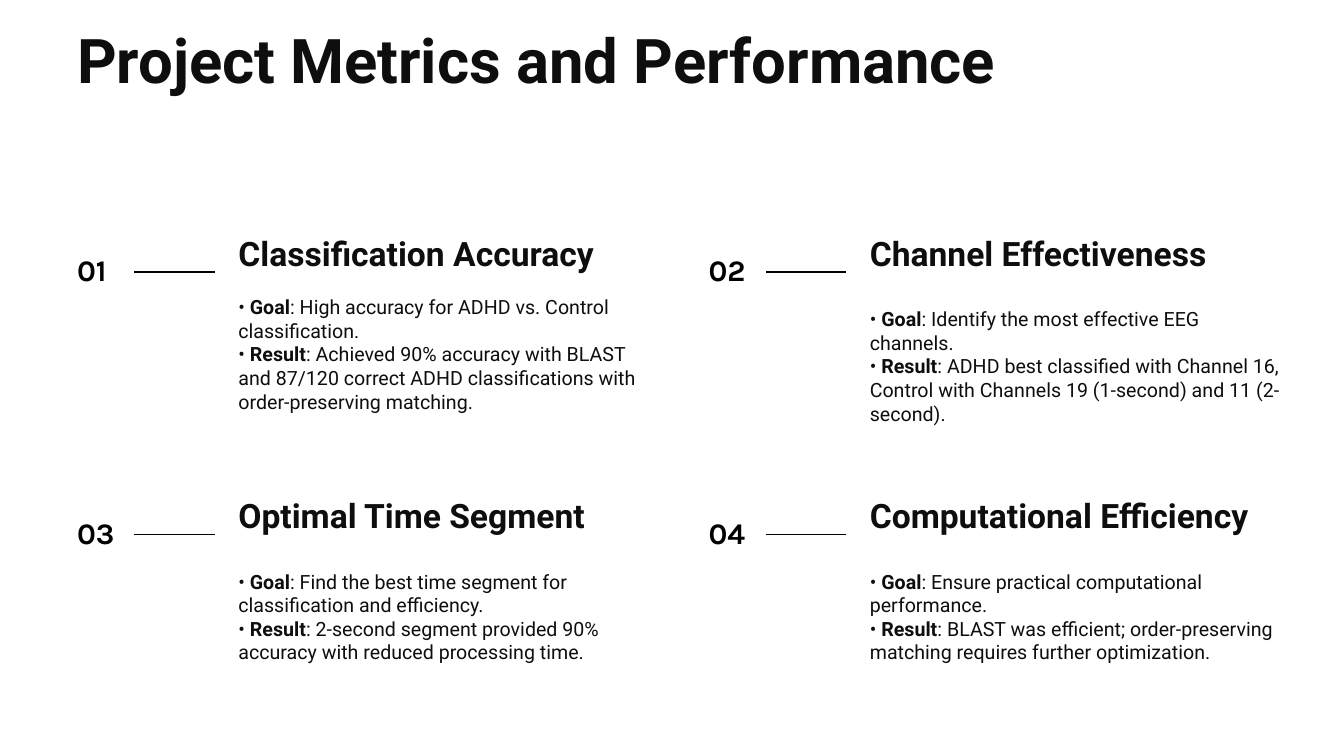
from lxml.etree import SubElement
from pptx import Presentation
from pptx.dml.color import RGBColor
from pptx.enum.shapes import MSO_CONNECTOR as Connector
from pptx.enum.text import MSO_ANCHOR as Anchor
from pptx.oxml.ns import qn
from pptx.util import Pt

INK = RGBColor(0x0E, 0x0E, 0x0E)
BLACK = RGBColor(0, 0, 0)

LEFT = 48
COLUMN_STEP = 451
FIRST_ROW = 178.5
ROW_STEP = 187.2
BOX_HEIGHT = 28.8

METRICS = [
    ("Classification Accuracy", 207.4,
     "High accuracy for ADHD vs. Control classification.",
     "Achieved 90% accuracy with BLAST and 87/120 correct ADHD "
     "classifications with order-preserving matching."),
    ("Channel Effectiveness", 216,
     "Identify the most effective EEG channels.",
     "ADHD best classified with Channel 16, Control with Channels 19 "
     "(1-second) and 11 (2-second)."),
    ("Optimal Time Segment", 403.2,
     "Find the best time segment for classification and efficiency.",
     "2-second segment provided 90% accuracy with reduced processing time."),
    ("Computational Efficiency", 403.2,
     "Ensure practical computational performance.",
     "BLAST was efficient; order-preserving matching requires further "
     "optimization."),
]


def set_font(font, name, size, color):
    font.name = name
    font.size = Pt(size)
    font.color.rgb = color


def add_frame(page, left, top, width, anchor):
    box = page.shapes.add_textbox(Pt(left), Pt(top), Pt(width), Pt(BOX_HEIGHT))
    frame = box.text_frame
    frame.word_wrap = True
    frame.vertical_anchor = anchor
    return frame


def add_label(page, text, left, top, width, size, font="Roboto", color=INK):
    para = add_frame(page, left, top, width, Anchor.MIDDLE).paragraphs[0]
    para.text = text
    set_font(para.font, font, size, color)
    para.font.bold = True
    return para


def add_details(page, left, top, width, details):
    frame = add_frame(page, left, top, width, Anchor.TOP)
    for index, (term, text) in enumerate(details):
        para = frame.add_paragraph() if index else frame.paragraphs[0]
        set_font(para.font, "Roboto", 14, INK)
        for words, bold in (("• ", False), (term, True), (f": {text}", False)):
            span = para.add_run()
            span.text = words
            span.font.bold = bold


def add_rule(page, left, top, length):
    rule = page.shapes.add_connector(
        Connector.STRAIGHT, Pt(left), Pt(top), Pt(left + length), Pt(top))
    rule.line.color.rgb = BLACK
    rule.line.width = Pt(1)
    SubElement(rule._element.spPr, qn("a:effectLst"))


def add_metric(page, index, heading, details_top, goal, result):
    row, column = divmod(index, 2)
    left = LEFT + column * COLUMN_STEP
    top = FIRST_ROW + row * ROW_STEP
    add_label(page, f"{index + 1:02}", left, top, 48, 21.3, "Karla", BLACK)
    add_rule(page, left + 48, top + 15.9, 57.6)
    add_label(page, heading, left + 115.2, top - 12, 307.2, 24)
    add_details(page, left + 115.2, details_top, 307.2,
                [("Goal", goal), ("Result", result)])


def main():
    deck = Presentation()
    deck.slide_width, deck.slide_height = Pt(960), Pt(540)
    page = deck.slides.add_slide(deck.slide_layouts[6])
    title = add_label(page, "Project Metrics and Performance", LEFT, 30.6, 864, 44)
    title.line_spacing = Pt(46.7)
    for index, metric in enumerate(METRICS):
        add_metric(page, index, *metric)
    deck.save("out.pptx")


if __name__ == "__main__":
    main()
